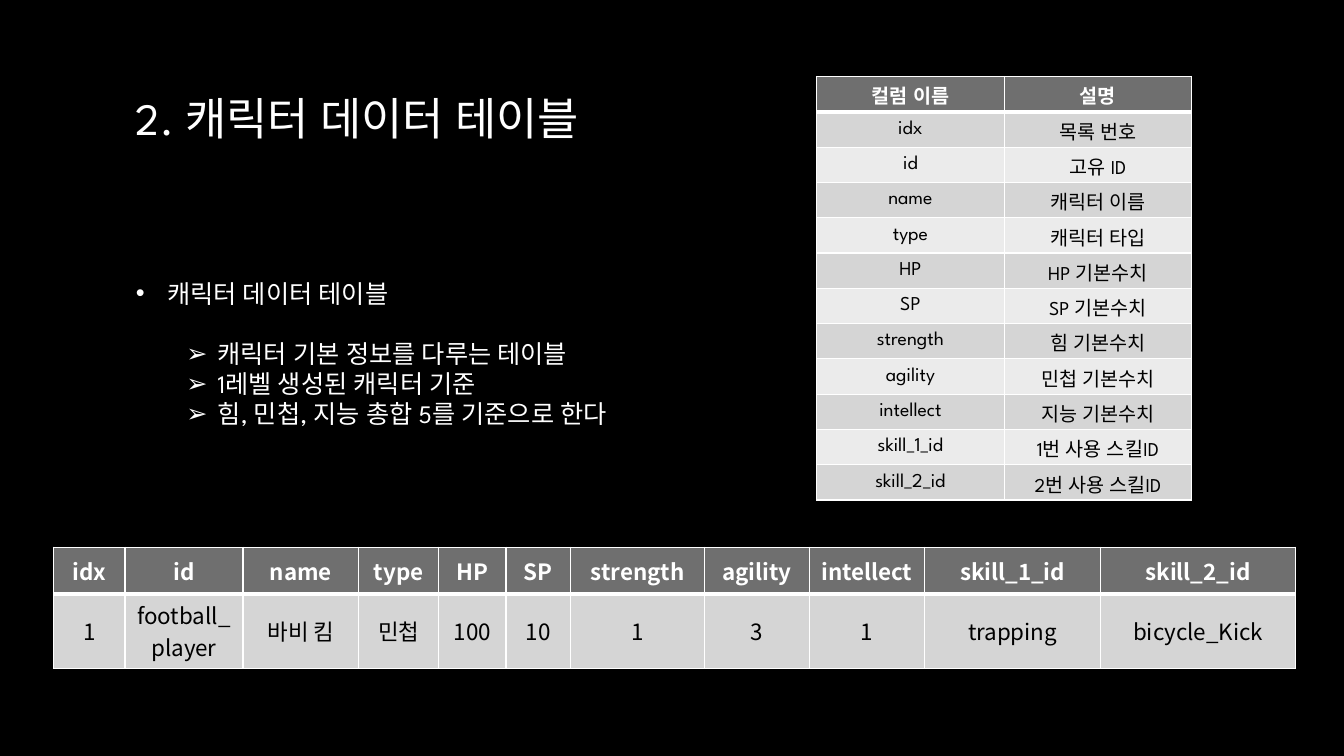
from dataclasses import dataclass

from lxml import etree
from pptx import Presentation
from pptx import util as u
from pptx.dml import color
from pptx.enum import text
from pptx.oxml import ns

COLORS = {
    "background": "000000",
    "light": "FFFFFF",
    "title_end": "A6A6A6",
    "dark": "000000",
    "header": "6F6F6F",
    "band_odd": "D5D5D5",
    "band_even": "EBEBEB",
}
SPARTAN = "League Spartan"
NOTO = "Noto Sans CJK KR"


@dataclass
class TableSpec:
    left: float
    top: float
    column_widths: list[float]
    row_heights: list[float]
    rows: list[list[str]]
    font: str
    size: int


@dataclass
class ListItem:
    words: str
    bullet: str
    margin: float
    space_before: float = 0


COLUMNS = [
    ("idx", "목록 번호"),
    ("id", "고유 ID"),
    ("name", "캐릭터 이름"),
    ("type", "캐릭터 타입"),
    ("HP", "HP 기본수치"),
    ("SP", "SP 기본수치"),
    ("strength", "힘 기본수치"),
    ("agility", "민첩 기본수치"),
    ("intellect", "지능 기본수치"),
    ("skill_1_id", "1번 사용 스킬ID"),
    ("skill_2_id", "2번 사용 스킬ID"),
]
CHARACTER = ["1", "football_player", "바비 킴", "민첩", "100", "10",
             "1", "3", "1", "trapping", "bicycle_Kick"]

TABLES = [
    TableSpec(0.53, 5.43,
              [0.71, 1.17, 1.15, 0.79, 0.67, 0.64, 1.33, 1.04, 1.14, 1.75, 1.93],
              [0.46, 0.74],
              [[name for name, _ in COLUMNS], CHARACTER], NOTO, 16),
    TableSpec(8.1, 0.76, [1.86] * 2, [0.35] * (len(COLUMNS) + 1),
              [["컬럼 이름", "설명"], *map(list, COLUMNS)], SPARTAN, 14),
]
ITEMS = [
    ListItem("캐릭터 데이터 테이블", "•", 0.31),
    ListItem("캐릭터 기본 정보를 다루는 테이블", "➢", 0.81, 21.4),
    ListItem("1레벨 생성된 캐릭터 기준", "➢", 0.81),
    ListItem("힘, 민첩, 지능 총합 5를 기준으로 한다", "➢", 0.81),
]


def rgb(name: str) -> color.RGBColor:
    return color.RGBColor.from_string(COLORS[name])


def style_runs(paragraph, font: str, size: int, color_name: str, bold: bool = False) -> None:
    for run in paragraph.runs:
        run.font.name = font
        run.font.size = u.Pt(size)
        run.font.bold = bold
        run.font.color.rgb = rgb(color_name)
        east_asian = etree.SubElement(run.font._element, ns.qn("a:ea"))
        east_asian.set("typeface", font)


def set_borders(cell, top: int, bottom: int) -> None:
    properties = cell._tc.get_or_add_tcPr()
    sides = {"lnL": 1, "lnR": 1, "lnT": top, "lnB": bottom}
    for position, (side, width) in enumerate(sides.items()):
        line = etree.Element(ns.qn(f"a:{side}"), w=str(u.Pt(width)))
        fill = etree.SubElement(line, ns.qn("a:solidFill"))
        etree.SubElement(fill, ns.qn("a:srgbClr"), val=COLORS["light"])
        properties.insert(position, line)


def add_data_table(slide, spec: TableSpec) -> None:
    table = slide.shapes.add_table(
        len(spec.rows), len(spec.column_widths),
        u.Inches(spec.left), u.Inches(spec.top),
        u.Inches(sum(spec.column_widths)), u.Inches(sum(spec.row_heights))).table
    for column, width in zip(table.columns, spec.column_widths):
        column.width = u.Inches(width)
    for row, height in zip(table.rows, spec.row_heights):
        row.height = u.Inches(height)
    for row_index, values in enumerate(spec.rows):
        is_header = row_index == 0
        band = "header" if is_header else "band_odd" if row_index % 2 else "band_even"
        for column_index, value in enumerate(values):
            cell = table.cell(row_index, column_index)
            cell.text_frame.text = value
            cell.vertical_anchor = text.MSO_ANCHOR.MIDDLE
            # Korean words set in League Spartan sit slightly lower
            if spec.font == SPARTAN and not value.isascii():
                cell.margin_top, cell.margin_bottom = u.Inches(0.1), 0
            cell.fill.solid()
            cell.fill.fore_color.rgb = rgb(band)
            set_borders(cell, 3 if row_index == 1 else 1, 3 if is_header else 1)
            paragraph = cell.text_frame.paragraphs[0]
            paragraph.alignment = text.PP_ALIGN.CENTER
            style_runs(paragraph, spec.font, spec.size,
                       "light" if is_header else "dark", is_header)


def add_text_frame(slide, left: float, top: float, width: float, height: float):
    box = slide.shapes.add_textbox(*map(u.Inches, (left, top, width, height)))
    box.text_frame.word_wrap = True
    return box.text_frame


def add_title(slide) -> None:
    frame = add_text_frame(slide, 1.25, 0.13, 10.83, 2.08)
    frame.vertical_anchor = text.MSO_ANCHOR.MIDDLE
    frame.text = "2. 캐릭터 데이터 테이블"
    paragraph = frame.paragraphs[0]
    style_runs(paragraph, SPARTAN, 32, "light")
    fill = paragraph.runs[0].font.fill
    fill.gradient()
    fill.gradient_angle = 267
    for stop, position, name in zip(fill.gradient_stops, (0, 1), ("light", "title_end")):
        stop.position = position
        stop.color.rgb = rgb(name)


def add_bullet_list(slide, items: list[ListItem]) -> None:
    frame = add_text_frame(slide, 1.25, 2.71, 5.15, 1.62)
    frame.text = "\n".join(item.words for item in items)
    for paragraph, item in zip(frame.paragraphs, items):
        properties = paragraph._p.get_or_add_pPr()
        properties.set("marL", str(u.Inches(item.margin)))
        properties.set("indent", str(u.Inches(-0.31)))
        etree.SubElement(properties, ns.qn("a:buFont"), typeface="Arial")
        etree.SubElement(properties, ns.qn("a:buChar"), char=item.bullet)
        if item.space_before:
            paragraph.space_before = u.Pt(item.space_before)
        style_runs(paragraph, SPARTAN, 18, "light")


def main() -> None:
    presentation = Presentation()
    presentation.slide_width = u.Inches(13.33)
    presentation.slide_height = u.Inches(7.5)
    slide = presentation.slides.add_slide(presentation.slide_layouts[6])
    slide.background.fill.solid()
    slide.background.fill.fore_color.rgb = rgb("background")

    # Title and description
    add_title(slide)
    add_bullet_list(slide, ITEMS)

    # Example character and column meanings
    for spec in TABLES:
        add_data_table(slide, spec)

    presentation.save("out.pptx")


if __name__ == "__main__":
    main()
